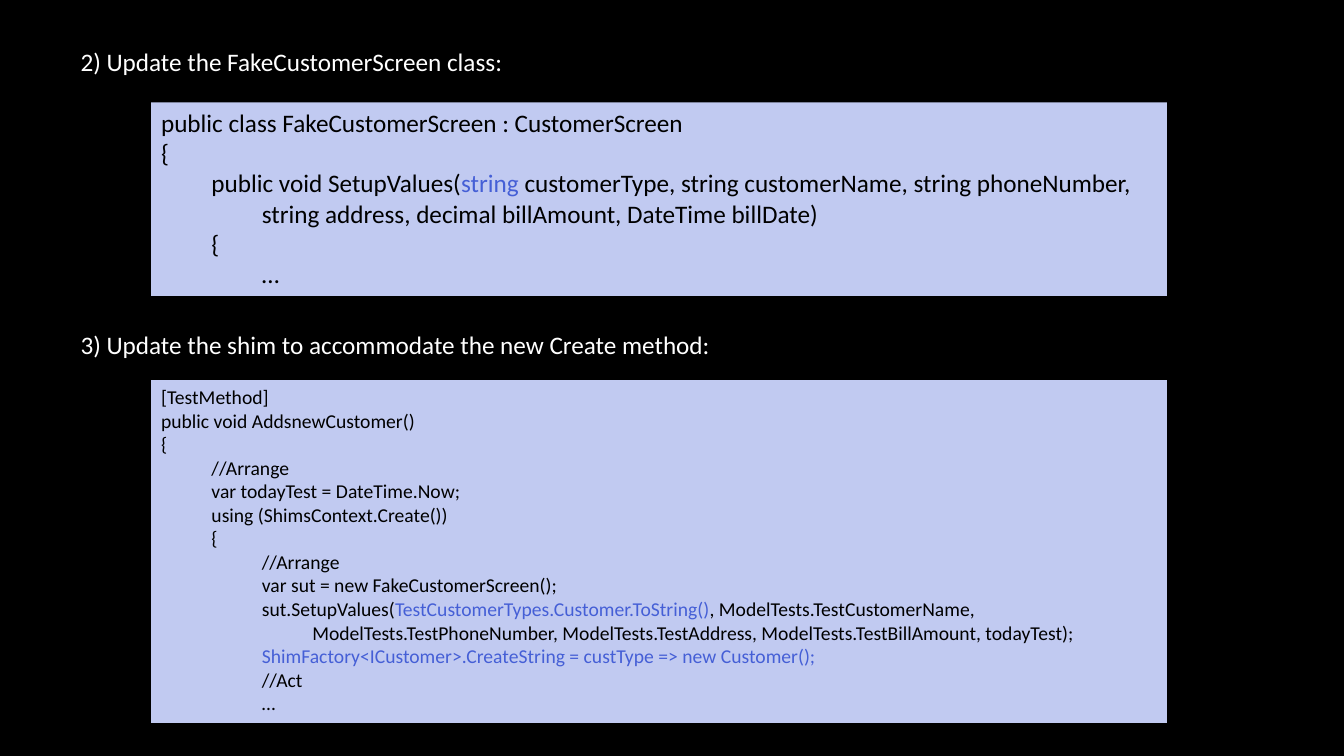
from dataclasses import dataclass

from pptx import Presentation
from pptx.dml.color import RGBColor as Rgb
from pptx.enum.shapes import MSO_SHAPE as Kind
from pptx.enum.text import MSO_ANCHOR as Anchor, MSO_AUTO_SIZE as Fit, PP_ALIGN as Align
from pptx.util import Cm, Pt

HUES = {"back": "000000", "panel": "C1CAF1", "code": "000000", "new": "455FD6", "step": "FFFFFF"}
FONT = "Calibri"
TAB = 1.27
MARK = "|"


@dataclass
class Step:
    title: str
    top: float
    width: float


@dataclass
class Code:
    top: float
    height: float
    size: int
    lines: list[tuple[int, str]]


STEPS = [
    Step("2) Update the FakeCustomerScreen class:", 1.04, 11.28),
    Step("3) Update the shim to accommodate the new Create method:", 8.18, 16.43),
]

CODES = [
    Code(2.58, 4.88, 18, [
        (0, "public class FakeCustomerScreen : CustomerScreen"),
        (0, "{"),
        (1, "public void SetupValues(|string |customerType, string customerName, string phoneNumber,"),
        (2, "string address, decimal billAmount, DateTime billDate)"),
        (1, "{"),
        (2, "…"),
    ]),
    Code(9.58, 8.64, 14, [
        (0, "[TestMethod]"),
        (0, "public void AddsnewCustomer()"),
        (0, "{"),
        (1, "//Arrange"),
        (1, "var todayTest = DateTime.Now;"),
        (1, "using (ShimsContext.Create())"),
        (1, "{"),
        (2, "//Arrange"),
        (2, "var sut = new FakeCustomerScreen();"),
        (2, "sut.SetupValues(|TestCustomerTypes.Customer.ToString()|, ModelTests.TestCustomerName,"),
        (3, "ModelTests.TestPhoneNumber, ModelTests.TestAddress, ModelTests.TestBillAmount, todayTest);"),
        (2, "|ShimFactory<ICustomer>.CreateString = custType => new Customer();|"),
        (2, "//Act"),
        (2, "…"),
    ]),
]


def tint(name: str) -> Rgb:
    return Rgb.from_string(HUES[name])


def write(shape, lines: list[tuple[int, str]], *, size: int, hue: str, wrap: bool) -> None:
    frame = shape.text_frame
    frame.word_wrap = wrap
    frame.auto_size = Fit.SHAPE_TO_FIT_TEXT
    frame.vertical_anchor = Anchor.TOP
    for row, (depth, text) in enumerate(lines):
        para = frame.add_paragraph() if row else frame.paragraphs[0]
        para.alignment = Align.LEFT
        para._p.get_or_add_pPr().set("marL", str(Cm(TAB * depth)))
        for spot, part in enumerate(text.split(MARK)):
            if part:
                run = para.add_run()
                run.text = part
                run.font.name = FONT
                run.font.size = Pt(size)
                run.font.color.rgb = tint("new" if spot % 2 else hue)


def add_step(slide, step: Step) -> None:
    box = slide.shapes.add_textbox(Cm(1.78), Cm(step.top), Cm(step.width), Cm(1.02))
    write(box, [(0, step.title)], size=18, hue="step", wrap=False)


def add_code(slide, code: Code) -> None:
    panel = slide.shapes.add_shape(
        Kind.RECTANGLE, Cm(3.81), Cm(code.top), Cm(25.6), Cm(code.height))
    panel.shadow.inherit = False
    panel.fill.solid()
    panel.fill.fore_color.rgb = tint("panel")
    panel.line.fill.background()
    write(panel, code.lines, size=code.size, hue="code", wrap=True)


def main() -> None:
    deck = Presentation()
    deck.slide_width, deck.slide_height = Cm(33.87), Cm(19.05)
    slide = deck.slides.add_slide(deck.slide_layouts[6])
    slide.background.fill.solid()
    slide.background.fill.fore_color.rgb = tint("back")
    for step, code in zip(STEPS, CODES):
        add_code(slide, code)
        add_step(slide, step)
    deck.save("out.pptx")


if __name__ == "__main__":
    main()
